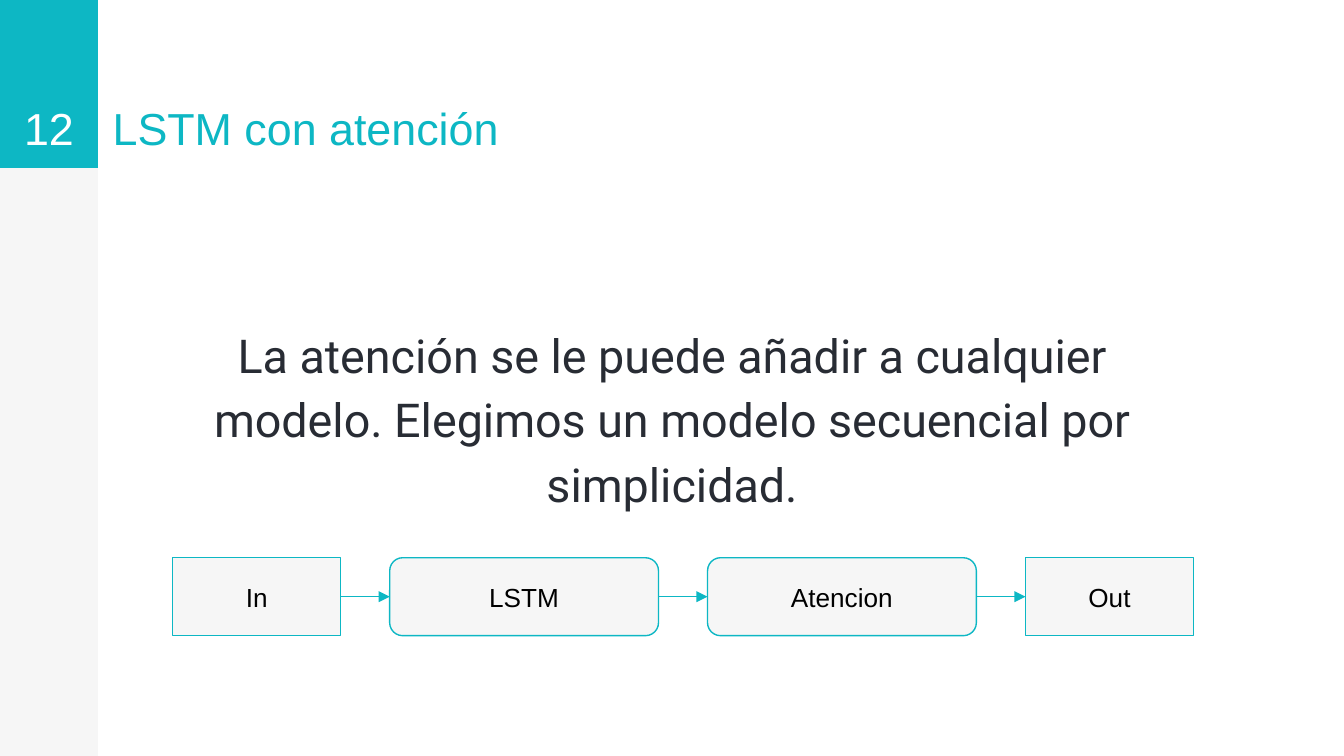
from dataclasses import dataclass

import lxml.etree
import pptx
import pptx.dml.color
import pptx.enum.shapes
import pptx.enum.text
import pptx.oxml.ns
import pptx.shapes.autoshape
import pptx.shapes.base
import pptx.slide
import pptx.util

PX = 4572  # 200 px to the inch
SLIDE_WIDTH, SLIDE_HEIGHT = 2000, 1125
COLORS = {"teal": "0DB7C4", "gray": "F6F6F6", "white": "FFFFFF",
          "ink": "282C34", "black": "000000"}
SHAPE = pptx.enum.shapes.MSO_SHAPE
ANCHOR = pptx.enum.text.MSO_ANCHOR
ALIGN = pptx.enum.text.PP_ALIGN

INSET = 20
FLOW_LEFT, FLOW_TOP, FLOW_HEIGHT, FLOW_GAP = 257, 830, 116, 73


@dataclass
class Rect:
    left: int
    top: int
    width: int
    height: int

    def emu(self) -> list[int]:
        return [v * PX for v in (self.left, self.top, self.width, self.height)]


@dataclass
class Label:
    text: str
    size: int
    color: str
    font: str = "Arial"
    align: ALIGN = ALIGN.CENTER
    anchor: ANCHOR = ANCHOR.BOTTOM
    spacing: float = 1.0
    space: int = 0


@dataclass
class Step:
    name: str
    width: int
    kind: SHAPE


SIDEBAR = Rect(0, 0, 146, SLIDE_HEIGHT)
NUMBER = Rect(0, 0, 146, 250)
TEXTS = [
    (NUMBER, Label("12", 24, "white")),
    (Rect(148, 154, 1120, 96), Label("LSTM con atención", 24, "teal", align=ALIGN.LEFT)),
    (Rect(224, 454, 1552, 318),
     Label("La atención se le puede añadir a cualquier modelo. "
           "Elegimos un modelo secuencial por simplicidad.",
           25, "ink", "Roboto", anchor=ANCHOR.TOP, spacing=1.15, space=12)),
]
STEPS = [
    Step("In", 250, SHAPE.RECTANGLE),
    Step("LSTM", 400, SHAPE.ROUNDED_RECTANGLE),
    Step("Atencion", 400, SHAPE.ROUNDED_RECTANGLE),
    Step("Out", 250, SHAPE.RECTANGLE),
]


def rgb(name: str) -> pptx.dml.color.RGBColor:
    return pptx.dml.color.RGBColor.from_string(COLORS[name])


def set_all(obj: object, values: dict[str, object]) -> None:
    for name, value in values.items():
        setattr(obj, name, value)


def write(sp: pptx.shapes.base.BaseShape, label: Label) -> None:
    tf = sp.text_frame
    inset = INSET * PX
    set_all(tf, {"word_wrap": True, "vertical_anchor": label.anchor,
                 "margin_left": inset, "margin_right": inset,
                 "margin_top": inset, "margin_bottom": inset})
    p = tf.paragraphs[0]
    set_all(p, {"alignment": label.align, "line_spacing": label.spacing,
                "space_before": pptx.util.Pt(label.space),
                "space_after": pptx.util.Pt(label.space)})
    r = p.add_run()
    r.text = label.text
    set_all(r.font, {"size": pptx.util.Pt(label.size), "name": label.font})
    r.font.color.rgb = rgb(label.color)


def add_box(s: pptx.slide.Slide, rect: Rect, fill: str,
            kind: SHAPE = SHAPE.RECTANGLE) -> pptx.shapes.autoshape.Shape:
    """Add a filled shape without line or shadow."""
    sp = s.shapes.add_shape(kind, *rect.emu())
    sp.shadow.inherit = False
    sp.fill.solid()
    sp.fill.fore_color.rgb = rgb(fill)
    sp.line.fill.background()
    return sp


def set_line(sp: pptx.shapes.base.BaseShape) -> None:
    sp.line.color.rgb = rgb("teal")
    sp.line.width = pptx.util.Pt(0.75)


def add_step(s: pptx.slide.Slide, step: Step, left: int) -> pptx.shapes.autoshape.Shape:
    sp = add_box(s, Rect(left, FLOW_TOP, step.width, FLOW_HEIGHT), "gray", step.kind)
    set_line(sp)
    write(sp, Label(step.name, 14, "black", anchor=ANCHOR.MIDDLE))
    return sp


def add_arrow(s: pptx.slide.Slide, start: pptx.shapes.autoshape.Shape,
              end: pptx.shapes.autoshape.Shape) -> None:
    """Join the right side of start to the left side of end."""
    cn = s.shapes.add_connector(pptx.enum.shapes.MSO_CONNECTOR.STRAIGHT, 0, 0, 0, 0)
    cn.begin_connect(start, 3)
    cn.end_connect(end, 1)
    set_line(cn)
    qn = pptx.oxml.ns.qn
    ln = cn._element.spPr.find(qn("a:ln"))
    lxml.etree.SubElement(ln, qn("a:tailEnd"), type="triangle")
    lxml.etree.SubElement(cn._element.spPr, qn("a:effectLst"))


def main() -> None:
    prs = pptx.Presentation()
    set_all(prs, {"slide_width": SLIDE_WIDTH * PX, "slide_height": SLIDE_HEIGHT * PX})
    s = prs.slides.add_slide(prs.slide_layouts[6])

    add_box(s, SIDEBAR, "gray")
    add_box(s, NUMBER, "teal")
    for rect, label in TEXTS:
        write(s.shapes.add_textbox(*rect.emu()), label)

    boxes = []
    left = FLOW_LEFT
    for step in STEPS:
        boxes.append(add_step(s, step, left))
        left += step.width + FLOW_GAP
    for start, end in zip(boxes, boxes[1:]):
        add_arrow(s, start, end)

    prs.save("out.pptx")


if __name__ == "__main__":
    main()
